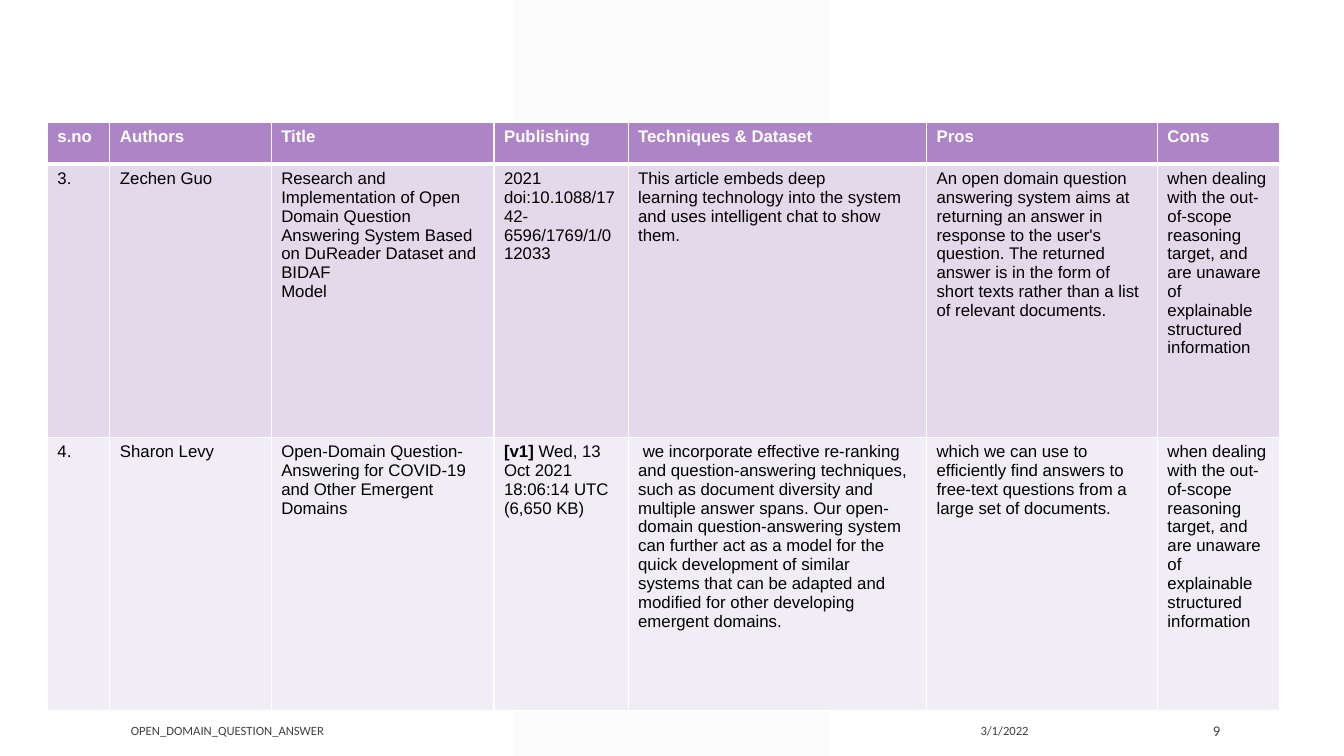
from lxml.etree import SubElement
from pptx import Presentation
from pptx.dml.color import RGBColor
from pptx.enum.shapes import MSO_SHAPE
from pptx.enum.text import MSO_ANCHOR, PP_ALIGN
from pptx.oxml import parse_xml
from pptx.oxml.ns import nsdecls, qn
from pptx.util import Inches, Pt

COLORS = {
    "band": "F2F2F2",
    "header": "AD84C6",
    "odd_row": "E3D9EA",
    "even_row": "F1EDF5",
    "white": "FFFFFF",
    "black": "000000",
    "footer": "404040",
}


def style_span(span, font_name, size, color, bold=False):
    span.font.name = font_name
    span.font.size = Pt(size)
    span.font.bold = bold
    span.font.color.rgb = RGBColor.from_string(COLORS[color])


def add_borders(cell, widths):
    """Draw white cell borders; widths maps L, R, T, B to points."""
    properties = cell._tc.get_or_add_tcPr()
    for position, (side, width) in enumerate(widths.items()):
        properties.insert(position, parse_xml(
            f'<a:ln{side} {nsdecls("a")} w="{Pt(width)}"><a:solidFill>'
            f'<a:srgbClr val="{COLORS["white"]}"/></a:solidFill></a:ln{side}>'))


deck = Presentation()
deck.slide_width = Inches(13.33)
deck.slide_height = Inches(7.5)
page = deck.slides.add_slide(deck.slide_layouts[6])

# Pale vertical band behind the table
band = page.shapes.add_shape(
    MSO_SHAPE.PARALLELOGRAM, Inches(5.1), Inches(0), Inches(3.12), Inches(7.5))
band.adjustments[0] = 0
band.shadow.inherit = False
band.line.fill.background()
band.fill.solid()
band.fill.fore_color.rgb = RGBColor.from_string(COLORS["band"])
band_color = band.fill._xPr.find(qn("a:solidFill"))[0]
SubElement(band_color, qn("a:alpha"), val="30000")

# Literature table
cons = ("when dealing with the out-of-scope reasoning target, and are unaware "
        "of explainable structured information")
rows = [
    ["s.no", "Authors", "Title", "Publishing", "Techniques & Dataset", "Pros", "Cons"],
    ["3.", "Zechen Guo",
     "Research and Implementation of Open Domain Question Answering System "
     "Based on DuReader Dataset and BIDAF\nModel",
     "2021 doi:10.1088/1742-6596/1769/1/012033",
     "This article embeds deep\nlearning technology into the system and uses "
     "intelligent chat to show them.",
     "An open domain question answering system aims at returning an answer in "
     "response to the user's question. The returned answer is in the form of "
     "short texts rather than a list of relevant documents.",
     cons],
    ["4.", "Sharon Levy",
     "Open-Domain Question-Answering for COVID-19 and Other Emergent Domains",
     "[v1]",
     " we incorporate effective re-ranking and question-answering techniques, "
     "such as document diversity and multiple answer spans. Our open-domain "
     "question-answering system can further act as a model for the quick "
     "development of similar systems that can be adapted and modified for "
     "other developing emergent domains.",
     "which we can use to efficiently find answers to free-text questions from "
     "a large set of documents.",
     cons],
]
column_widths = [0.62, 1.6, 2.21, 1.33, 2.96, 2.29, 1.21]
row_heights = [0.42, 2.71, 2.71]
row_fills = ["header", "odd_row", "even_row"]

table = page.shapes.add_table(
    len(rows), len(column_widths),
    Inches(0.47), Inches(1.21), Inches(12.23), Inches(5.85)).table
for column, width in zip(table.columns, column_widths):
    column.width = Inches(width)

for row_index, texts in enumerate(rows):
    table.rows[row_index].height = Inches(row_heights[row_index])
    is_header = row_index == 0
    for column_index, text in enumerate(texts):
        cell = table.cell(row_index, column_index)
        cell.text_frame.text = text
        cell.fill.solid()
        cell.fill.fore_color.rgb = RGBColor.from_string(COLORS[row_fills[row_index]])
        add_borders(cell, {"L": 1, "R": 1, "T": 3 if row_index == 1 else 1,
                           "B": 3 if is_header else 1})
        for para in cell.text_frame.paragraphs:
            for span in para.runs:
                style_span(span, "Arial", 12, "white" if is_header else "black", is_header)

# Bold version tag followed by its submission date
version_para = table.cell(2, 3).text_frame.paragraphs[0]
version_para.runs[0].font.bold = True
date_span = version_para.add_run()
date_span.text = " Wed, 13 Oct 2021 18:06:14 UTC (6,650 KB)"
style_span(date_span, "Arial", 12, "black")

# Footer: title, date and page number
footers = [
    ("OPEN_DOMAIN_QUESTION_ANSWER", 1.2, 5.3, 9, PP_ALIGN.LEFT),
    ("3/1/2022", 7.47, 2.83, 9, PP_ALIGN.RIGHT),
    ("9", 11.35, 0.85, 10.5, PP_ALIGN.RIGHT),
]
for text, left, width, size, alignment in footers:
    box = page.shapes.add_textbox(Inches(left), Inches(7.05), Inches(width), Inches(0.4))
    box.text_frame.word_wrap = True
    box.text_frame.vertical_anchor = MSO_ANCHOR.MIDDLE
    para = box.text_frame.paragraphs[0]
    para.text = text
    para.alignment = alignment
    style_span(para.runs[0], "Calibri", size, "footer")

deck.save("out.pptx")
